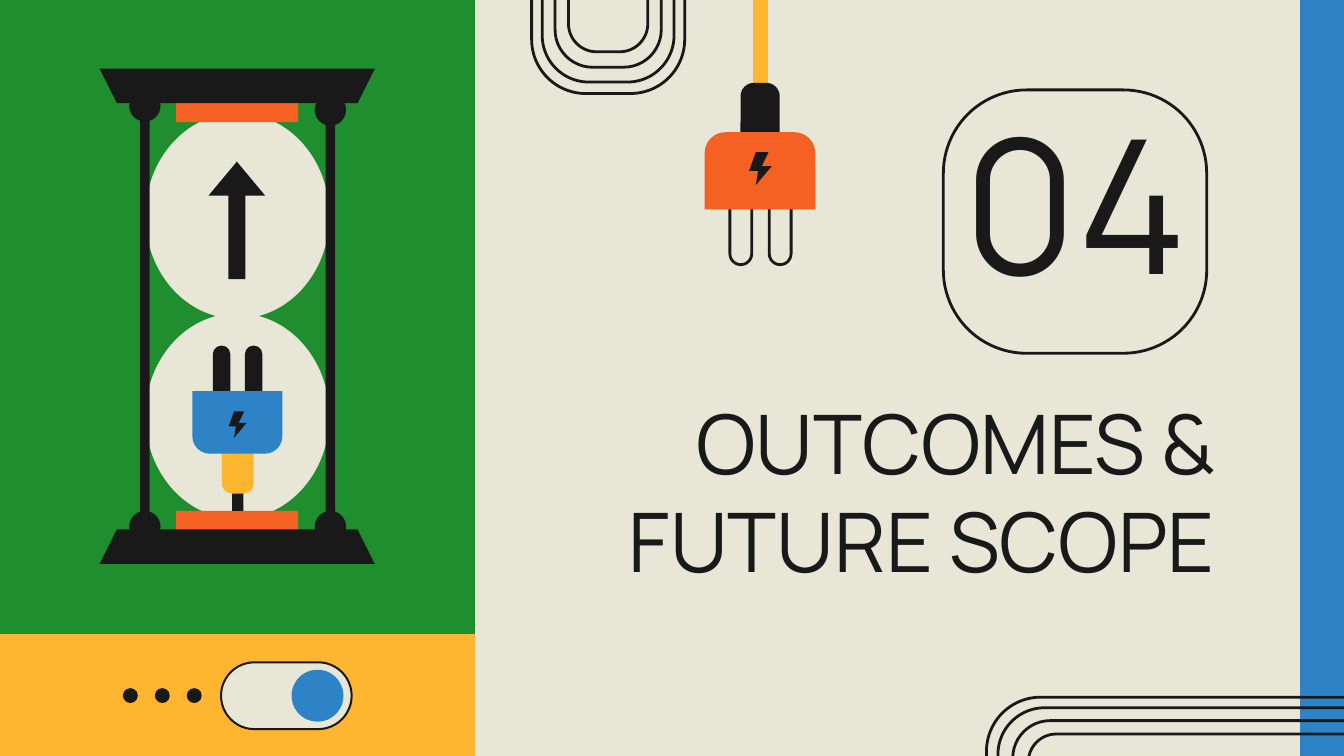
from dataclasses import dataclass
from pptx import Presentation
from pptx.dml.color import RGBColor
from pptx.enum.shapes import MSO_SHAPE as SHAPE
from pptx.enum.text import MSO_ANCHOR, PP_ALIGN
from pptx.util import Pt


@dataclass(frozen=True)
class Theme:
    ink: str = "191919"
    paper: str = "E8E6D6"
    blue: str = "2E83C7"
    green: str = "1F8E2E"
    yellow: str = "FEB530"
    orange: str = "F46123"
    font: str = "Manrope"
    title: int = 44
    number: int = 100


T = Theme()
BOLT = [(0.3, 0), (0, 0.57), (0.4, 0.57), (0.3, 1), (1, 0.43), (0.56, 0.43), (0.86, 0)]
RINGS = [(283, 82), (270.7, 70.6), (254.9, 56.9), (238.3, 42.5)]


def paint(sp, fill, line, weight):
    sp.shadow.inherit = False
    if fill:
        sp.fill.solid()
        sp.fill.fore_color.rgb = RGBColor.from_string(fill)
    else:
        sp.fill.background()
    if line:
        sp.line.color.rgb = RGBColor.from_string(line)
        sp.line.width = Pt(weight)
    else:
        sp.line.fill.background()


def put(s, kind, box, x, y, w, h, fill=None, line=None, weight=1.5, adj=()):
    sp = s.shapes.add_shape(kind, Pt(box[0] + x), Pt(box[1] + y), Pt(w), Pt(h))
    for i, value in enumerate(adj):
        sp.adjustments[i] = value
    paint(sp, fill, line, weight)
    return sp


def put_bolt(s, box, x, y, w, h):
    pts = [(Pt(box[0] + x + w * u), Pt(box[1] + y + h * v)) for u, v in BOLT]
    fb = s.shapes.build_freeform(*pts[0])
    fb.add_line_segments(pts[1:])
    paint(fb.convert_to_shape(), T.ink, None, 0)


def put_text(s, box, text, size, align, anchor):
    tb = s.shapes.add_textbox(*[Pt(v) for v in box])
    tf = tb.text_frame
    tf.word_wrap = True
    tf.vertical_anchor = anchor
    tf.margin_left = tf.margin_right = tf.margin_top = tf.margin_bottom = Pt(7.2)
    p = tf.paragraphs[0]
    p.alignment = align
    r = p.add_run()
    r.text = text
    r.font.name = T.font
    r.font.size = Pt(size)
    r.font.color.rgb = RGBColor.from_string(T.ink)


def panel(s, box, color):
    put(s, SHAPE.RECTANGLE, box, 0, 0, box[2], box[3], color, color, 0.75)


def rings(s, box, upright):
    for long, short in RINGS:
        w, h = (short, long) if upright else (long, short)
        put(s, SHAPE.ROUNDED_RECTANGLE, box, (box[2] - w) / 2, (box[3] - h) / 2,
            w, h, line=T.ink, adj=[0.354])


def heading(s, box):
    x, y, w, h = box
    put(s, SHAPE.ROUNDED_RECTANGLE, box, 198.7, 0, 141.1, 141.1, line=T.ink, adj=[0.316])
    put_text(s, (x, y + 154.8, w, 112.3), "OUTCOMES & FUTURE SCOPE",
             T.title, PP_ALIGN.RIGHT, MSO_ANCHOR.TOP)
    put_text(s, (x + 187.9, y + 2.2, 162.7, 113.8), "04",
             T.number, PP_ALIGN.CENTER, MSO_ANCHOR.MIDDLE)


def toggle_strip(s, box):
    panel(s, box, T.yellow)
    put(s, SHAPE.ROUNDED_RECTANGLE, box, 118.4, 15, 70, 35.8, T.paper, T.ink, 1.09, [0.5])
    put(s, SHAPE.OVAL, box, 156.2, 19, 27.8, 27.8, T.blue)
    for i in range(3):
        put(s, SHAPE.OVAL, box, 66.4 + 17.1 * i, 29.4, 6.9, 6.9, T.ink, T.ink, 1.09)


def hourglass(s, box):
    for y in (23.8, 131):
        put(s, SHAPE.OVAL, box, 24.5, y, 98.6, 110.2, T.paper)
    for x, y in ((15.8, 11.5), (115.2, 13.7)):
        put(s, SHAPE.RECTANGLE, box, x + 5.8, y + 8, 5.2, 224, T.ink)
        for top in (y, 236.9):
            put(s, SHAPE.OVAL, box, x, top, 16.8, 16.8, T.ink)
    for y, cap, turn in ((13.7, 0, 180), (236.9, 246.8, 0)):
        put(s, SHAPE.RECTANGLE, box, 41, y, 65.4, 14.9, T.orange)
        sp = put(s, SHAPE.TRAPEZOID, box, 0, cap, box[2], 18.5, T.ink, adj=[0.5])
        sp.rotation = turn
    put(s, SHAPE.UP_ARROW, box, 58.3, 49.8, 30.4, 62.9, T.ink, adj=[0.3, 0.6])
    rising_plug(s, (box[0] + 49.7, box[1] + 148.3, 48.2, 88.6))


def rising_plug(s, box):
    put(s, SHAPE.RECTANGLE, box, 21.3, 67, 6, 21.6, T.ink)
    put(s, SHAPE.ROUNDED_RECTANGLE, box, 15.8, 41.1, 17, 38.2, T.yellow, adj=[0.32])
    for x in (10.9, 28.1):
        put(s, SHAPE.ROUNDED_RECTANGLE, box, x, 0, 9.4, 43.9, T.ink, adj=[0.5])
    put(s, SHAPE.ROUND_2_SAME_RECTANGLE, box, 0, 24.5, box[2], 33.5, T.blue, adj=[0, 0.28])
    put_bolt(s, box, 19.4, 35.3, 9.7, 14.2)


def hanging_plug(s, box):
    put(s, SHAPE.RECTANGLE, box, 26.2, 0, 7.4, 90, T.yellow, T.yellow, 0.75)
    put(s, SHAPE.ROUNDED_RECTANGLE, box, 19.2, 44.4, 21, 46.8, T.ink, adj=[0.34])
    for x in (34.6, 13.5):
        put(s, SHAPE.ROUNDED_RECTANGLE, box, x, 87.8, 11.7, 54, line=T.ink, adj=[0.5])
    put(s, SHAPE.ROUND_2_SAME_RECTANGLE, box, 0, 70.8, box[2], 41.3, T.orange, adj=[0.27, 0])
    put_bolt(s, box, 23.8, 81.5, 12.1, 17.6)


def main():
    prs = Presentation()
    prs.slide_width, prs.slide_height = Pt(720), Pt(405)
    s = prs.slides.add_slide(prs.slide_layouts[6])
    s.background.fill.solid()
    s.background.fill.fore_color.rgb = RGBColor.from_string(T.paper)
    panel(s, (697, 0, 23, 405), T.blue)
    rings(s, (284.8, -232.9, 82, 283), True)
    rings(s, (528.5, 373.5, 283, 82), False)
    panel(s, (0, 0, 254.2, 340), T.green)
    toggle_strip(s, (0, 339.8, 254.2, 65.2))
    heading(s, (306.7, 48.2, 351.4, 267.1))
    hourglass(s, (53.4, 36.8, 147.4, 265.3))
    hanging_plug(s, (377.5, 0, 59.3, 142))
    prs.save("out.pptx")


if __name__ == "__main__":
    main()
